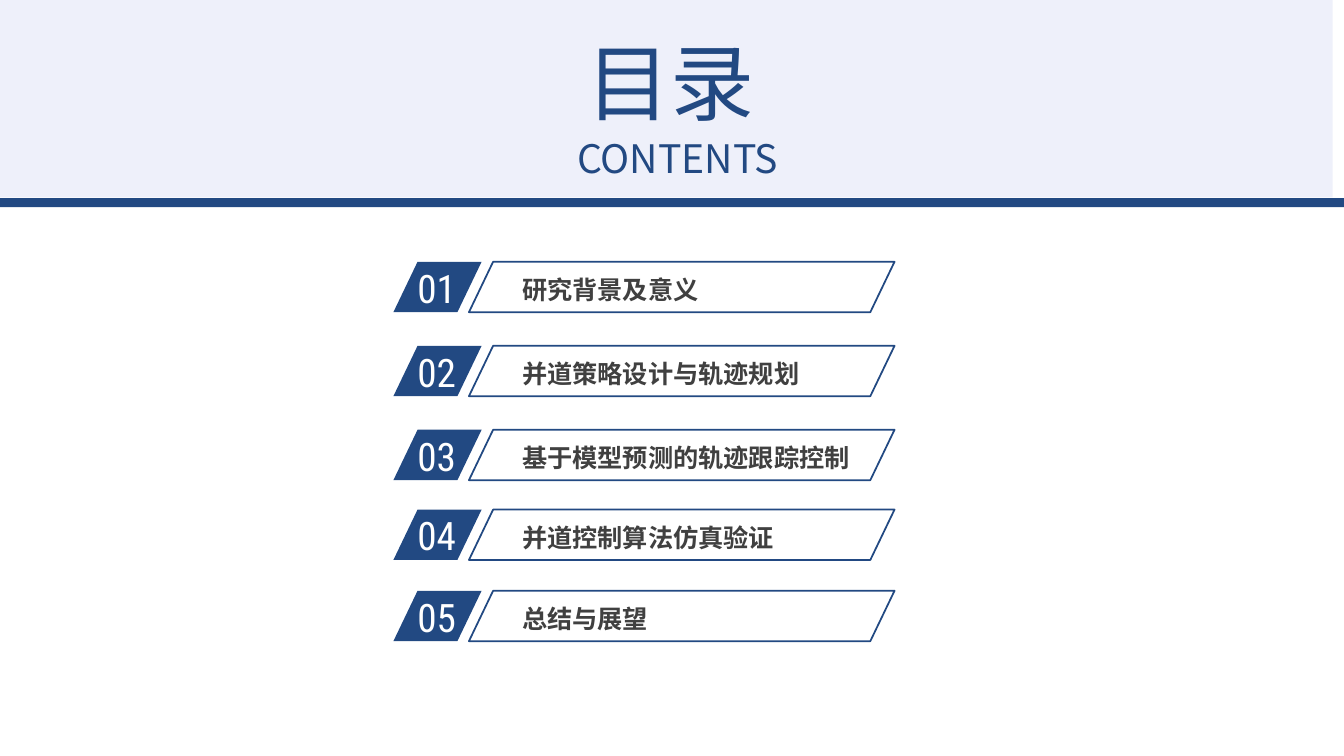
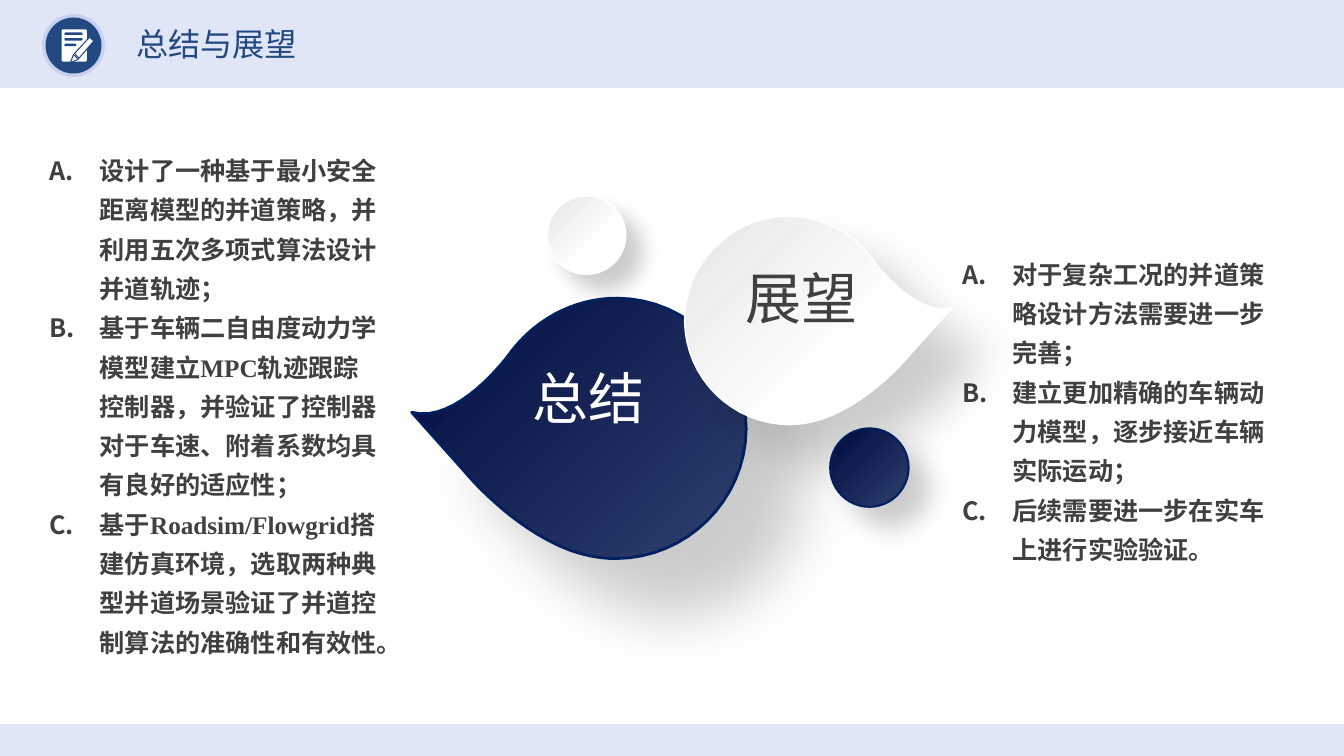
from dataclasses import dataclass

from lxml.etree import SubElement as Sub
from pptx import Presentation
from pptx.dml.color import RGBColor as Rgb
from pptx.enum.shapes import MSO_SHAPE as Kind
from pptx.enum.text import MSO_ANCHOR as Anchor, MSO_AUTO_SIZE as Auto, PP_ALIGN as Align
from pptx.oxml.ns import qn
from pptx.util import Pt


@dataclass(frozen=True)
class Theme:
    # Colours
    blue: str = "224982"
    pale: str = "C7D0EF"
    band: str = "E1E6F7"
    ink: str = "404040"
    white: str = "FFFFFF"
    grey: str = "E6E6E6"
    navy: str = "2F416F"
    night: str = "000B3F"
    rim: str = "002060"
    # Fonts
    sans: str = "Noto Sans CJK SC"
    digit: str = "Roboto Condensed"
    serif: str = "Times New Roman"
    label: str = "Calibri"
    # Type sizes
    cover: int = 60
    large: int = 40
    mid: int = 28
    head: int = 23
    body: int = 18


T = Theme()
DARK = ((T.navy, 0), (T.night, 1))
LIGHT = ((T.white, 0.36), (T.grey, 1))

ITEMS = [
    (187, "研究背景及意义"),
    (247, "并道策略设计与轨迹规划"),
    (307, "基于模型预测的轨迹跟踪控制"),
    (364, "并道控制算法仿真验证"),
    (422, "总结与展望"),
]

# Each paragraph is a list of runs: (text, font)
DONE = [
    [("设计了一种基于最小安全距离模型的并道策略，并利用五次多项式算法设计并道轨迹；", T.sans)],
    [("基于车辆二自由度动力学模型建立", T.sans), ("MPC", T.serif),
     ("轨迹跟踪控制器，并验证了控制器对于车速、附着系数均具有良好的适应性；", T.sans)],
    [("基于", T.sans), ("Roadsim/Flowgrid", T.serif),
     ("搭建仿真环境，选取两种典型并道场景验证了并道控制算法的准确性和有效性。", T.sans)],
]
NEXT = [
    [("对于复杂工况的并道策略设计方法需要进一步完善；", T.sans)],
    [("建立更加精确的车辆动力模型，逐步接近车辆实际运动；", T.sans)],
    [("后续需要进一步在实车上进行实验验证。", T.sans)],
]

# Leaf outline: start point, then cubic curves (two handles and an end)
LEAF_W = 239
LEAF = [
    (147, 0),
    (114.5, 0), (86.5, 16.5), (69, 41),
    (69, 41), (32.5, 90.5), (0, 81.5),
    (0, 81.5), (38, 124), (38, 124),
    (38, 124), (70.5, 164), (113, 180),
    (123, 183.5), (134, 186), (145.5, 186),
    (196.5, 186), (238.5, 144.5), (239, 93.5),
    (239, 42.5), (198, 0.5), (147, 0),
]


# Styling
def paint(shape, fill=None, line=None, width=1):
    """Give a shape a plain or gradient fill, an outline and no shadow."""
    shape.shadow.inherit = False
    if fill is None:
        shape.fill.background()
    elif isinstance(fill, str):
        shape.fill.solid()
        shape.fill.fore_color.rgb = Rgb.from_string(fill)
    else:
        shape.fill.gradient()
        shape.fill.gradient_angle = 135
        for stop, (tone, pos) in zip(shape.fill.gradient_stops, fill):
            stop.color.rgb = Rgb.from_string(tone)
            stop.position = pos
    if line:
        shape.line.color.rgb = Rgb.from_string(line)
        shape.line.width = Pt(width)
    else:
        shape.line.fill.background()
    return shape


def clear(shape, alpha):
    """Set the opacity of a plain fill, in percent."""
    tone = shape.element.spPr.find(qn("a:solidFill"))[0]
    Sub(tone, qn("a:alpha"), val=str(alpha * 1000))


def shade(shape, blur, dist):
    """Cast a soft shadow to the lower right."""
    glow = Sub(shape.element.spPr.find(qn("a:effectLst")), qn("a:outerShdw"),
               blurRad=str(Pt(blur)), dist=str(Pt(dist)), dir="2700000",
               algn="tl", rotWithShape="0")
    tone = Sub(glow, qn("a:srgbClr"), val="000000")
    Sub(tone, qn("a:alpha"), val="20000")


# Shapes
def form(shapes, kind, box, fill=None, line=None, width=1):
    shape = shapes.add_shape(kind, *map(Pt, box))
    return paint(shape, fill, line, width)


def stripe(slide, box, fill):
    """Add a band behind everything else."""
    shape = form(slide.shapes, Kind.RECTANGLE, box, fill)
    shape.element.getparent().insert(2, shape.element)
    return shape


def slant(slide, box, fill=None, line=None):
    shape = form(slide.shapes, Kind.PARALLELOGRAM, box, fill, line, 1.25)
    shape.adjustments[0] = 0.48


def trace(shapes, dots):
    """Draw a closed outline through points."""
    dots = [(Pt(x), Pt(y)) for x, y in dots]
    pen = shapes.build_freeform(*dots[0])
    pen.add_line_segments(dots[1:], close=True)
    return pen.convert_to_shape()


def curve(nodes, steps=16):
    """Turn cubic curves into points."""
    dots = [nodes[0]]
    for i in range(0, len(nodes) - 1, 3):
        a, b, c, d = nodes[i:i + 4]
        for n in range(1, steps + 1):
            t = n / steps
            u = 1 - t
            dots.append(tuple(
                u**3 * p + 3 * u * u * t * q + 3 * u * t * t * r + t**3 * s
                for p, q, r, s in zip(a, b, c, d)))
    return dots


def leaf(slide, left, top, scale=1, flip=False):
    return trace(slide.shapes, [
        (left + scale * (LEAF_W - x if flip else x), top + scale * y)
        for x, y in curve(LEAF)])


# Text
def write(para, text, size, color, font=T.sans, bold=False):
    run = para.add_run()
    run.text = text
    run.font.size = Pt(size)
    run.font.bold = bold
    run.font.name = font
    run.font.color.rgb = Rgb.from_string(color)
    east = T.sans if font in (T.label, T.serif) else font
    Sub(run.font._element, qn("a:ea"), typeface=east)


def place(shape, box, inset=(7.2, 3.6)):
    """Move a text shape, set its frame and return the frame."""
    shape.left, shape.top, shape.width, shape.height = map(Pt, box)
    frame = shape.text_frame
    frame.word_wrap = True
    frame.auto_size = Auto.NONE
    frame.vertical_anchor = Anchor.TOP
    frame.margin_left = frame.margin_right = Pt(inset[0])
    frame.margin_top = frame.margin_bottom = Pt(inset[1])
    return frame


def title(shape, box, text, size, align=Align.LEFT):
    para = place(shape, box).paragraphs[0]
    para.alignment = align
    para.space_before = Pt(0)
    write(para, text, size, T.blue)


def note(slide, box, text, size, color, inset=(7.2, 3.6), lead=None, **style):
    shape = slide.shapes.add_textbox(*map(Pt, box))
    para = place(shape, box, inset).paragraphs[0]
    if lead:
        para.line_spacing = Pt(lead)
    write(para, text, size, color, **style)


def points(shape, box, paras):
    """Fill a body placeholder with a lettered list."""
    frame = place(shape, box)
    for i, runs in enumerate(paras):
        para = frame.add_paragraph() if i else frame.paragraphs[0]
        para.alignment = Align.LEFT
        para.line_spacing = 1.3
        para.space_before = Pt(0)
        props = para._p.get_or_add_pPr()
        props.set("marL", str(Pt(36)))
        props.set("indent", str(-Pt(36)))
        Sub(props, qn("a:buFont"), typeface=T.sans)
        Sub(props, qn("a:buAutoNum"), type="alphaUcPeriod")
        for text, font in runs:
            write(para, text, T.body, T.ink, font, bold=True)


# Parts of the slides
def entry(slide, top, num, text):
    """One row of the contents list."""
    slant(slide, (281, top, 63, 36), fill=T.blue)
    note(slide, (291, top - 2, 60, 41), f"{num:02}", T.mid, T.white, font=T.digit)
    note(slide, (368, top + 6, 256, 27), text, T.body, T.ink, (5, 3), bold=True)
    slant(slide, (335, top, 304, 36), line=T.blue)


def badge(slide):
    """Round badge with a page and a pencil."""
    shapes = slide.shapes.add_group_shape().shapes
    form(shapes, Kind.OVAL, (30, 10, 45, 45), T.pale)
    form(shapes, Kind.OVAL, (32.5, 12.5, 40, 40), T.blue)
    page = form(shapes, Kind.ROUNDED_RECTANGLE, (44, 21, 18, 23), T.white)
    page.adjustments[0] = 0.06
    for i, wide in enumerate((13, 13, 8.5)):
        rule = form(shapes, Kind.ROUNDED_RECTANGLE, (46, 23.2 + 4 * i, wide, 1.8), T.blue)
        rule.adjustments[0] = 0.5
    tip = [(52.5, 39), (50.2, 45), (56, 42.2)]
    stem = [(64, 26.5), (67, 29.3), (56.5, 41.5), (53.2, 38.2)]
    for part in (tip, stem):
        paint(trace(shapes, part), T.white, T.blue, 0.75)


def agenda(deck):
    slide = deck.slides.add_slide(deck.slide_layouts[0])
    name, sub = slide.placeholders
    clear(stripe(slide, (0, 0, 952, 141), T.pale), 30)
    stripe(slide, (0, 141.5, 960, 6.5), T.blue)
    title(name, (412, 18, 140, 80), "目录", T.cover)
    title(sub, (393, 92, 170, 41), "CONTENTS", T.mid, Align.RIGHT)
    for num, (top, text) in enumerate(ITEMS, 1):
        entry(slide, top, num, text)


def outlook(deck):
    slide = deck.slides.add_slide(deck.slide_layouts[3])
    name, left, right = slide.placeholders
    stripe(slide, (0, 0, 960, 63), T.band)
    stripe(slide, (0, 517, 960, 23), T.band)
    title(name, (90, 13.5, 140, 36), "总结与展望", T.head)
    badge(slide)

    # Leaves and dots
    shade(paint(leaf(slide, 294, 213), DARK, T.rim, 2), 44, 56)
    shade(paint(leaf(slide, 489, 154.5, 0.8, True), LIGHT, T.white), 35, 37)
    shade(form(slide.shapes, Kind.OVAL, (391, 140, 56, 56), LIGHT, T.white), 15, 16)
    shade(form(slide.shapes, Kind.OVAL, (593, 306, 56, 56), DARK, T.rim, 1.5), 19, 20)
    note(slide, (373, 289, 128, 29), "总结", T.large, T.white, lead=15, font=T.label)
    note(slide, (525.5, 217.5, 120, 28), "展望", T.large, T.ink, lead=15, font=T.label)

    points(left, (28, 101, 253, 376), DONE)
    points(right, (680, 175, 232, 319), NEXT)


def main():
    deck = Presentation()
    deck.slide_width, deck.slide_height = Pt(960), Pt(540)
    agenda(deck)
    outlook(deck)
    deck.save("out.pptx")


if __name__ == "__main__":
    main()
